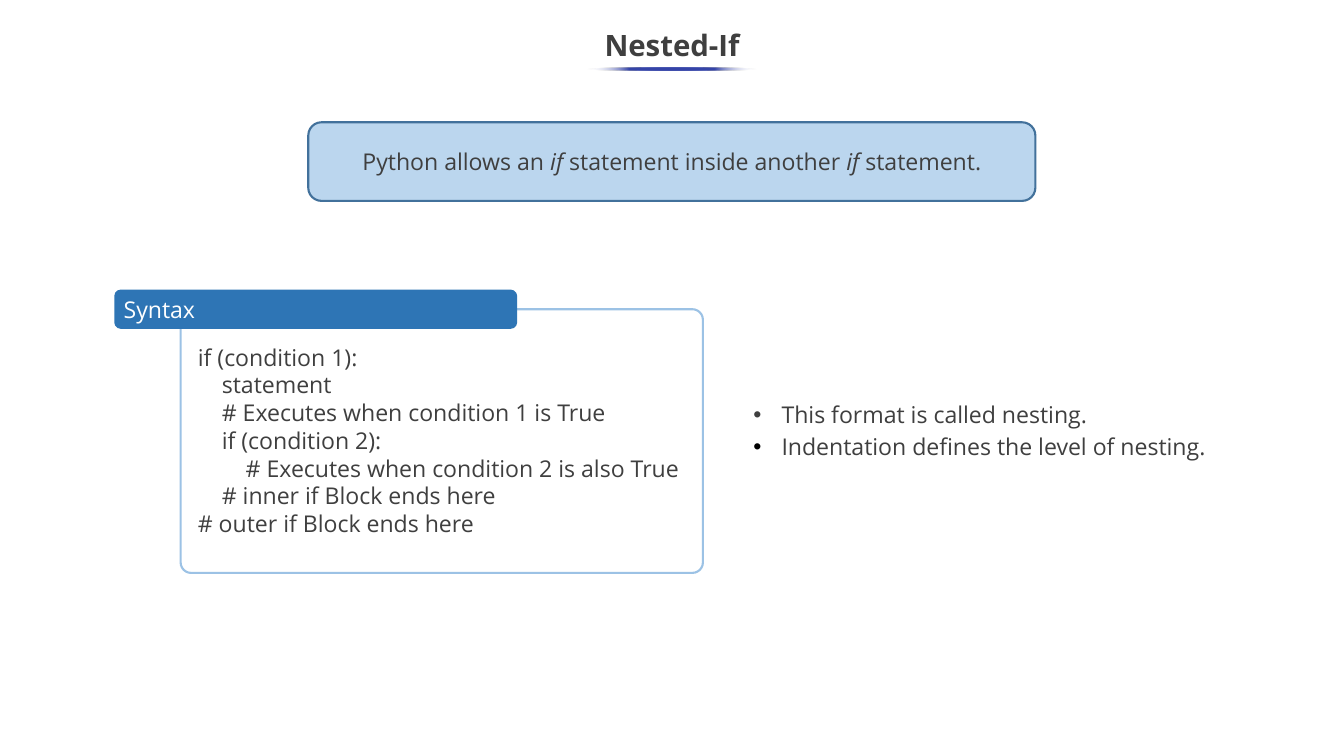
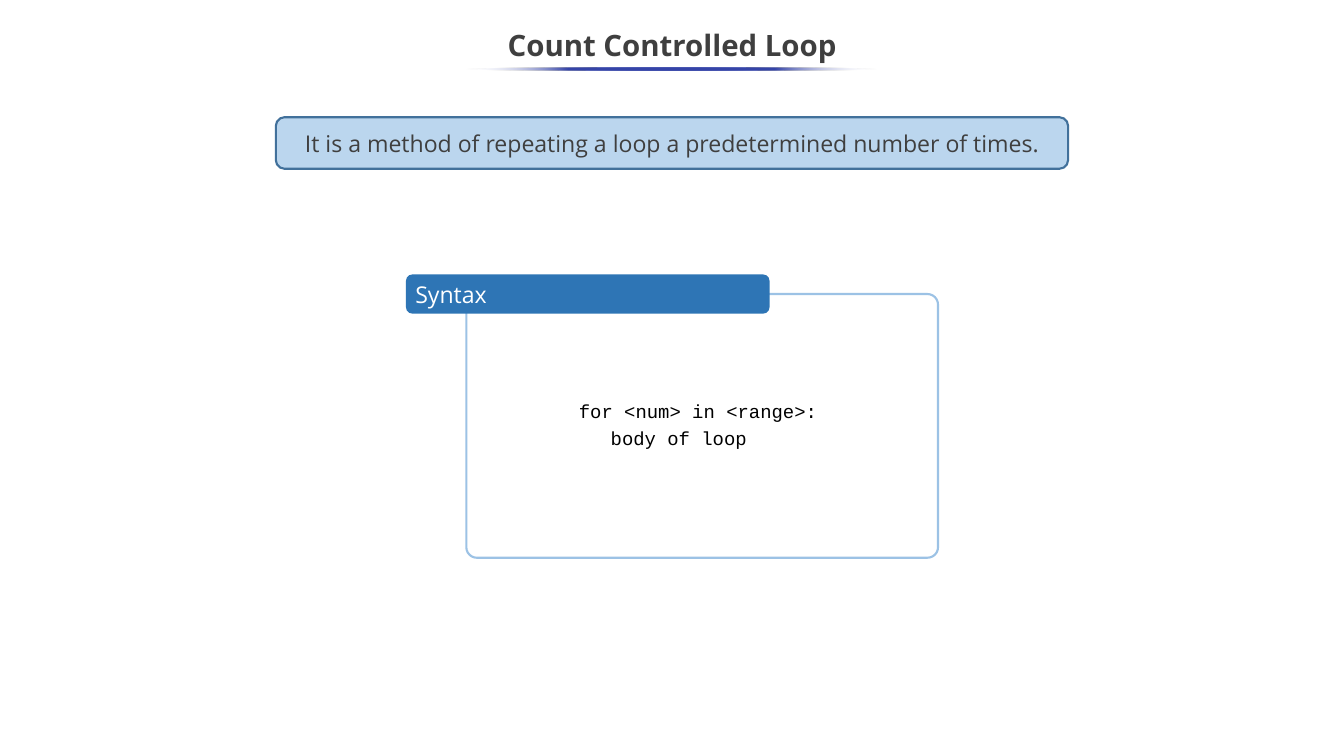
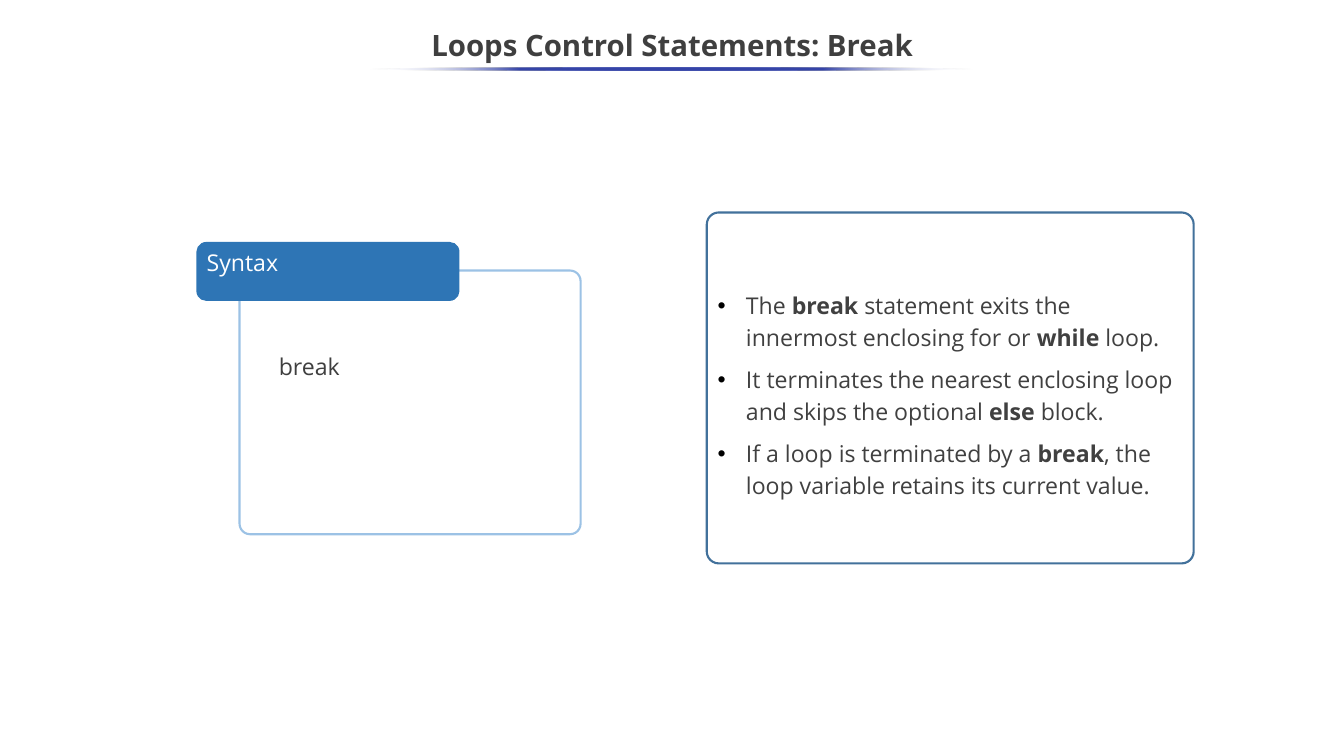
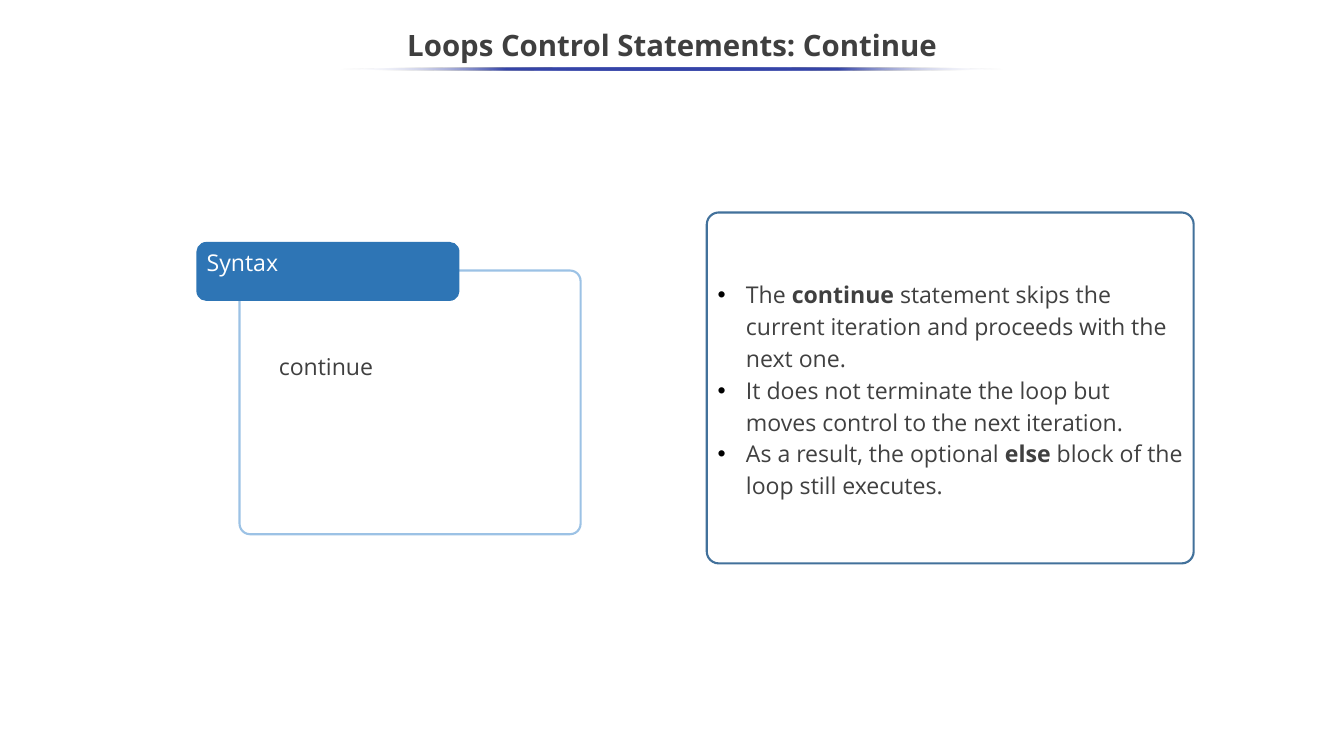
import dataclasses
import typing

import lxml.etree
import pptx
import pptx.dml.color
import pptx.enum.shapes
import pptx.enum.text
import pptx.oxml.ns
import pptx.util

Cm = pptx.util.Cm
Color = pptx.dml.color.RGBColor
Align = pptx.enum.text.PP_ALIGN
Anchor = pptx.enum.text.MSO_ANCHOR
Kind = pptx.enum.shapes.MSO_SHAPE
qn = pptx.oxml.ns.qn

INK = Color(0x3F, 0x3F, 0x3F)
SOFT = Color(0x40, 0x40, 0x40)
BLACK = Color(0, 0, 0)
WHITE = Color(0xFF, 0xFF, 0xFF)
PALE = Color(0xBB, 0xD6, 0xEE)
STEEL = Color(0x42, 0x71, 0x9B)
SKY = Color(0x9C, 0xC2, 0xE5)
BLUE = Color(0x2E, 0x75, 0xB5)
INDIGO = Color(0x36, 0x45, 0xA9)

WIDE, HIGH = 45.16, 25.4
SANS, MONO = "Open Sans", "Courier New"
LOOSE = 1.15


class Box(typing.NamedTuple):
    left: float
    top: float
    width: float
    height: float


@dataclasses.dataclass(frozen=True)
class Run:
    text: str
    bold: bool = False
    slant: bool = False
    size: float = 22
    font: str = SANS
    color: Color = INK


@dataclasses.dataclass(frozen=True)
class Line:
    runs: tuple[Run, ...]
    align: Align = Align.LEFT
    space: float = 1.0
    before: float = 0
    dot: bool = False
    dot_ink: Color | None = None
    tab: float = 0


@dataclasses.dataclass(frozen=True)
class Card:
    box: Box
    lines: tuple[Line, ...] = ()
    fill: Color | None = None
    edge: Color | None = None
    round: float = 0.167
    anchor: Anchor = Anchor.MIDDLE
    inset: float = 0.13


def add_node(home: typing.Any, tag: str, **attrs: str) -> typing.Any:
    return lxml.etree.SubElement(home, qn(tag), attrs)


def write(frame: typing.Any, lines: tuple[Line, ...], anchor: Anchor, inset: float = 0.13) -> None:
    frame.word_wrap = True
    frame.vertical_anchor = anchor
    frame.margin_left = frame.margin_right = Cm(0.25)
    frame.margin_top, frame.margin_bottom = Cm(inset), Cm(0.13)
    for rank, line in enumerate(lines):
        para = frame.add_paragraph() if rank else frame.paragraphs[0]
        para.alignment = line.align
        para.line_spacing = line.space
        para.space_before = pptx.util.Pt(line.before if rank else 0)
        props = para._p.get_or_add_pPr()
        if line.dot:
            props.set("marL", str(Cm(0.95)))
            props.set("indent", str(Cm(-0.95)))
            if line.dot_ink is not None:
                add_node(add_node(props, "a:buClr"), "a:srgbClr", val=str(line.dot_ink))
            add_node(props, "a:buFont", typeface="Arial")
            add_node(props, "a:buChar", char="•")
        if line.tab:
            add_node(add_node(props, "a:tabLst"), "a:tab", pos=str(Cm(line.tab)), algn="l")
        for part in line.runs:
            run = para.add_run()
            run.text = part.text
            run.font.name = part.font
            run.font.size = pptx.util.Pt(part.size)
            run.font.bold = part.bold
            run.font.italic = part.slant
            run.font.color.rgb = part.color


def place(box: Box) -> tuple[int, ...]:
    return tuple(Cm(side) for side in box)


def add_card(slide: typing.Any, card: Card) -> None:
    shape = slide.shapes.add_shape(Kind.ROUNDED_RECTANGLE, *place(card.box))
    shape.shadow.inherit = False
    shape.adjustments[0] = card.round
    if card.fill is None:
        shape.fill.background()
    else:
        shape.fill.solid()
        shape.fill.fore_color.rgb = card.fill
    if card.edge is None:
        shape.line.fill.background()
    else:
        shape.line.color.rgb = card.edge
        shape.line.width = pptx.util.Pt(2)
    write(shape.text_frame, card.lines, card.anchor, card.inset)


def add_rule(slide: typing.Any, width: float) -> None:
    box = Box((WIDE - width) / 2, 2.26, width, 0.1)
    rule = slide.shapes.add_shape(Kind.OVAL, *place(box))
    rule.shadow.inherit = False
    rule.line.fill.background()
    rule.fill.gradient()
    rule.fill.gradient_angle = 180
    stops = rule._element.spPr.find(".//" + qn("a:gsLst"))
    stops[:] = []
    for part in range(0, 101, 25):
        end = part in (0, 100)
        stop = add_node(stops, "a:gs", pos=str(part * 1000))
        tint = add_node(stop, "a:srgbClr", val=str(WHITE if end else INDIGO))
        if end:
            add_node(tint, "a:alpha", val="0")


def add_slide(deck: typing.Any, title: str, width: float) -> typing.Any:
    slide = deck.slides.add_slide(deck.slide_layouts[5])
    head = slide.shapes.title
    head.left, head.top, head.width, head.height = place(Box(0, 0.64, WIDE, 1.9))
    line = Line((Run(title, bold=True, size=28),), Align.CENTER, 0.9)
    write(head.text_frame, (line,), Anchor.MIDDLE)
    add_rule(slide, width)
    return slide


def add_syntax(slide: typing.Any, frame: Box, tab: Box, code: Box,
               lines: tuple[Line, ...], anchor: Anchor = Anchor.MIDDLE) -> None:
    add_card(slide, Card(frame, edge=SKY, round=0.04))
    label = Line((Run("Syntax", color=WHITE),))
    add_card(slide, Card(tab, (label,), fill=BLUE, anchor=anchor))
    text = slide.shapes.add_textbox(*place(code))
    write(text.text_frame, lines, Anchor.TOP)


def add_banner(slide: typing.Any, box: Box, *runs: Run) -> None:
    line = Line(runs, Align.CENTER)
    add_card(slide, Card(box, (line,), fill=PALE, edge=STEEL))


def add_control(deck: typing.Any, word: str, width: float, before: float, inset: float,
                points: tuple[tuple[str, ...], ...]) -> None:
    slide = add_slide(deck, f"Loops Control Statements: {word.title()}", width)
    lines = tuple(
        Line(tuple(Run(text, bold=rank % 2 == 1, color=SOFT) for rank, text in enumerate(point)),
             space=LOOSE, before=before, dot=True, dot_ink=BLACK)
        for point in points)
    add_card(slide, Card(Box(23.75, 7.14, 16.36, 11.79), lines, edge=STEEL, round=0.034, inset=inset))
    add_syntax(slide, Box(8.05, 9.09, 11.46, 8.86), Box(6.6, 8.13, 8.84, 1.98),
               Box(9.12, 11.71, 8.2, 1.19), (Line((Run(word),)),), Anchor.TOP)


def add_nested(deck: typing.Any) -> None:
    slide = add_slide(deck, "Nested-If", 5.66)
    add_banner(slide, Box(10.36, 4.11, 24.43, 2.64),
               Run("Python allows an "), Run("if", slant=True),
               Run(" statement inside another "), Run("if ", slant=True), Run("statement."))
    notes = (
        Line((Run("This format is called nesting."),), space=LOOSE, dot=True),
        Line((Run("Indentation defines the level of nesting."),), space=LOOSE, dot=True, dot_ink=BLACK),
    )
    add_card(slide, Card(Box(24.92, 12.93, 19.15, 2.92), notes, fill=WHITE))
    code = (
        "if (condition 1):",
        "    statement",
        "    # Executes when condition 1 is True",
        "    if (condition 2):",
        "        # Executes when condition 2 is also True",
        "    # inner if Block ends here",
        "# outer if Block ends here",
    )
    add_syntax(slide, Box(6.07, 10.39, 17.55, 8.86), Box(3.84, 9.73, 13.54, 1.32),
               Box(6.4, 11.4, 17.88, 6.83), tuple(Line((Run(text),)) for text in code))


def add_count(deck: typing.Any) -> None:
    slide = add_slide(deck, "Count Controlled Loop", 13.84)
    add_banner(slide, Box(9.27, 3.94, 26.62, 1.73),
               Run("It is a method of repeating a loop a predetermined number of times."))
    code = (
        Line((Run(" "), Run("for <num> in <range>:", size=18, font=MONO, color=BLACK)), space=LOOSE),
        Line((Run("\tbody of loop", size=18, font=MONO, color=BLACK),), space=LOOSE, tab=1.27),
    )
    add_syntax(slide, Box(15.67, 9.88, 15.85, 8.86), Box(13.64, 9.22, 12.22, 1.32),
               Box(19, 13.03, 11.33, 3.07), code)


def main() -> None:
    deck = pptx.Presentation()
    deck.slide_width, deck.slide_height = Cm(WIDE), Cm(HIGH)
    add_nested(deck)
    add_count(deck)
    add_control(deck, "break", 20.29, 10, 0.48, (
        ("The ", "break", " statement exits the innermost enclosing for or ", "while ", "loop."),
        ("It terminates the nearest enclosing loop and skips the optional ", "else", " block."),
        ("If a loop is terminated by a ", "break", ", the loop variable retains its current value."),
    ))
    add_control(deck, "continue", 22.28, 0, 0.13, (
        ("The ", "continue", " statement skips the current iteration and proceeds with the next one."),
        ("It does not terminate the loop but moves control to the next iteration.",),
        ("As a result, the optional ", "else", " block of the loop still executes."),
    ))
    deck.save("out.pptx")


if __name__ == "__main__":
    main()
